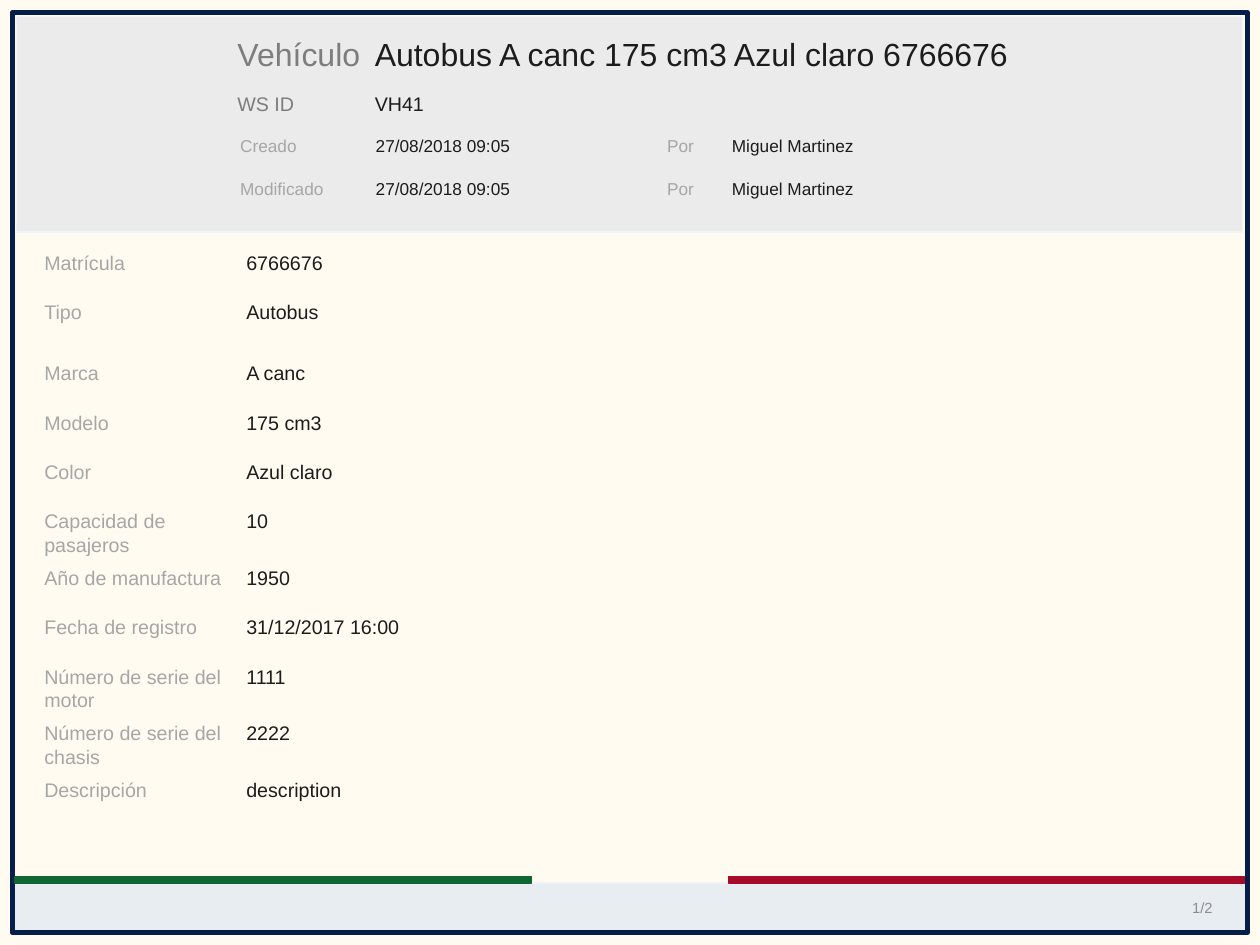
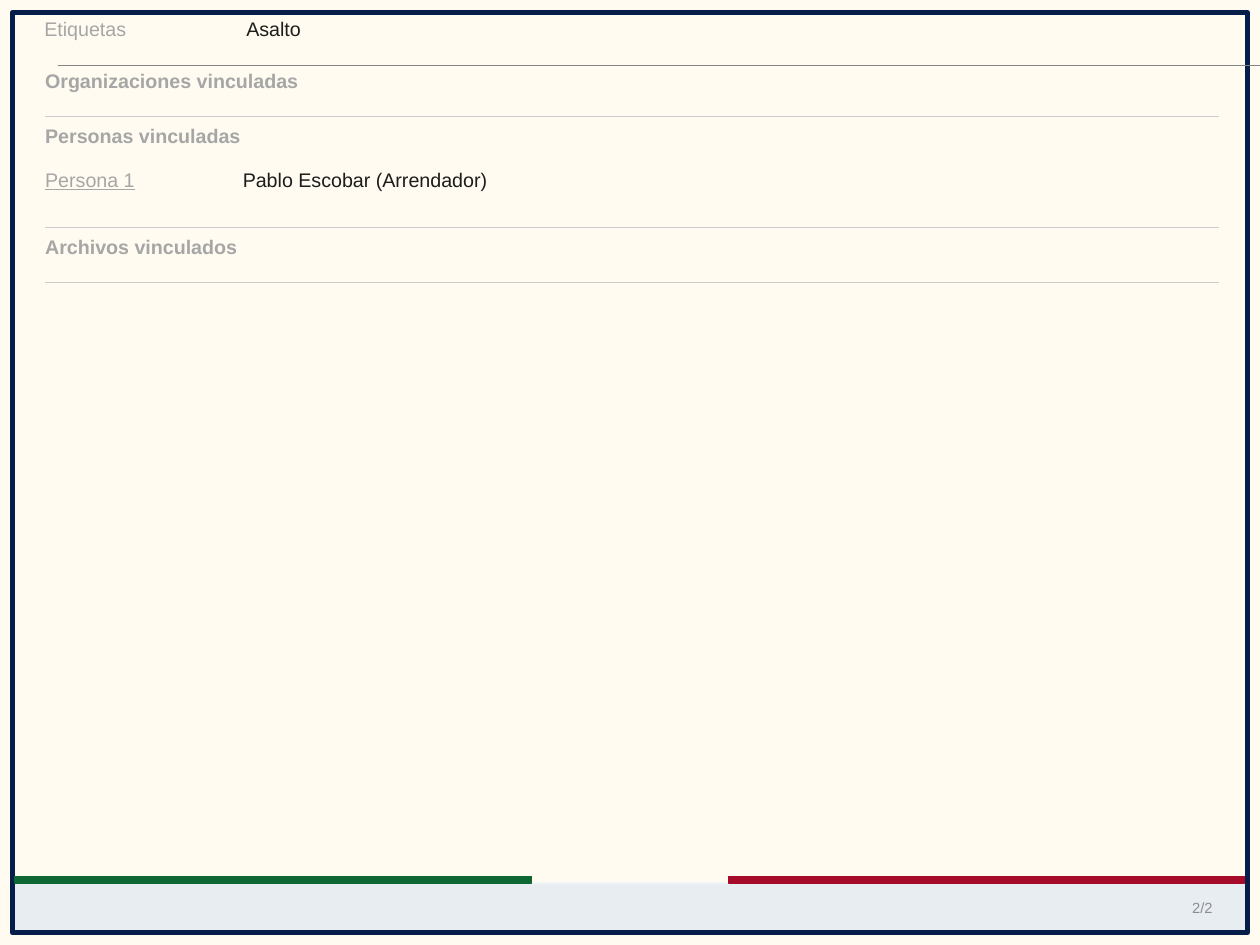
"""Builds a two-slide vehicle record with linked people, organisations and files."""
from lxml.etree import SubElement
from pptx import Presentation
from pptx.dml.color import RGBColor
from pptx.enum.shapes import MSO_CONNECTOR as Connector, MSO_SHAPE as Shape
from pptx.enum.text import MSO_ANCHOR as Anchor, PP_ALIGN as Align
from pptx.oxml.ns import qn
from pptx.util import Inches, Pt

WIDTH, HEIGHT = 14.22, 10.67
COLORS = {
    "background": "FFFBF0", "frame": "051D49", "footer": "E8EDF2", "edge": "F1F4F7",
    "header": "EBEBEB", "green": "0E6732", "red": "A60B2A", "value": "1C1C1C",
    "label": "A6A6A6", "title": "7D7D7D", "number": "8D8D8D", "rule": "D1CBCB",
    "divider": "848484",
}
TITLES = [
    ("Vehículo", "Autobus A canc 175 cm3 Azul claro 6766676", 0.39, 0.65, 26),
    ("WS ID", "VH41", 1.04, 0.42, 16),
]
HISTORY = [
    ("Creado", "27/08/2018 09:05", "Por", "Miguel Martinez"),
    ("Modificado", "27/08/2018 09:05", "Por", "Miguel Martinez"),
]
HISTORY_COLUMNS = [(2.71, 1.53), (4.24, 2.78), (7.53, 0.74), (8.26, 6.81)]
HISTORY_TOP, HISTORY_STEP = 1.53, 0.48
FIELD_GROUPS = [
    [("Matrícula", "6766676"), ("Tipo", "Autobus")],
    [
        ("Marca", "A canc"),
        ("Modelo", "175 cm3"),
        ("Color", "Azul claro"),
        ("Capacidad de pasajeros", "10"),
        ("Año de manufactura", "1950"),
        ("Fecha de registro", "31/12/2017 16:00"),
        ("Número de serie del motor", "1111"),
        ("Número de serie del chasis", "2222"),
        ("Descripción", "description"),
    ],
]
TAGS = ("Etiquetas", "Asalto")
SECTIONS = [
    ("Organizaciones vinculadas", []),
    ("Personas vinculadas", [("Persona 1", "Pablo Escobar (Arrendador)")]),
    ("Archivos vinculados", []),
]
LABEL_LEFT, VALUE_LEFT, VALUE_WIDTH = 0.5, 2.72, 10.81
LABEL_WIDTH = VALUE_LEFT - LABEL_LEFT
ROW, TALL_ROW, LONG_LABEL = 0.42, 0.5, 20
FIELDS_TOP, LAST_FIELD_TOP, GROUP_GAP = 2.83, 8.78, 0.13
SECTION_LEFT, SECTION_RIGHT, SECTION_TOP = 0.51, 13.76, 0.78
RULE_DROP, RULE_GAP, ENTRY_DROP, ENTRY_STEP = 0.54, 0.08, 0.49, 0.63


def color(name):
    return RGBColor.from_string(COLORS[name])


def add_text(slide, box, text, color_name, size=16, inset=0, align=Align.LEFT,
             anchor=Anchor.TOP, **style):
    frame = slide.shapes.add_textbox(*map(Inches, box)).text_frame
    layout = {"word_wrap": True, "vertical_anchor": anchor, "margin_left": Inches(inset),
              "margin_top": 0, "margin_right": 0, "margin_bottom": 0}
    for name, value in layout.items():
        setattr(frame, name, value)
    paragraph = frame.paragraphs[0]
    paragraph.alignment = align
    run = paragraph.add_run()
    run.text = text
    for name, value in {"name": "Arial", "size": Pt(size), **style}.items():
        setattr(run.font, name, value)
    run.font.color.rgb = color(color_name)


def add_box(slide, box, fill, line, weight=1):
    shape = slide.shapes.add_shape(Shape.RECTANGLE, *map(Inches, box))
    shape.shadow.inherit = False
    if fill:
        shape.fill.solid()
        shape.fill.fore_color.rgb = color(fill)
    else:
        shape.fill.background()
    shape.line.color.rgb = color(line)
    shape.line.width = Pt(weight)


def add_rule(slide, left, right, top, line):
    ends = map(Inches, (left, top, right, top))
    connector = slide.shapes.add_connector(Connector.STRAIGHT, *ends)
    connector.line.color.rgb = color(line)
    connector.line.width = Pt(1)
    SubElement(connector._element.spPr, qn("a:effectLst"))


def add_field(slide, top, field, height=ROW):
    label, value = field
    add_text(slide, (VALUE_LEFT, top, VALUE_WIDTH, height), value, "value", inset=0.06)
    add_text(slide, (LABEL_LEFT, top, LABEL_WIDTH, height), label, "label")


def add_base(presentation, number, total):
    slide = presentation.slides.add_slide(presentation.slide_layouts[6])
    slide.background.fill.solid()
    slide.background.fill.fore_color.rgb = color("background")
    add_box(slide, (0.14, 9.97, 13.92, 0.56), "footer", "edge")
    add_box(slide, (0.14, 0.14, 13.94, 10.39), None, "frame", 4)
    add_text(slide, (13.25, 10.03, 0.64, 0.44), f"{number}/{total}", "number", 12,
             align=Align.CENTER, anchor=Anchor.MIDDLE)
    for left, name in ((8.22, "red"), (0.17, "green")):
        add_box(slide, (left, 9.9, 5.83, 0.07), name, name)
    return slide


def add_header(slide):
    add_box(slide, (0.19, 0.19, 13.83, 2.43), "header", "edge")
    for label, value, top, height, size in TITLES:
        add_text(slide, (4.17, top, 9.43, height), value, "value", size, 0.06)
        add_text(slide, (2.62, top, 1.54, height), label, "title", size, 0.06)
    for row, texts in enumerate(HISTORY):
        top = HISTORY_TOP + row * HISTORY_STEP
        for column, (text, (left, width)) in enumerate(zip(texts, HISTORY_COLUMNS)):
            name = "value" if column % 2 else "label"
            add_text(slide, (left, top, width, ROW), text, name, 14)


def add_fields(slide):
    groups = [[(field, TALL_ROW if len(field[0]) > LONG_LABEL else ROW) for field in group]
              for group in FIELD_GROUPS]
    heights = [height for group in groups for _, height in group][:-1]
    free = LAST_FIELD_TOP - FIELDS_TOP - sum(heights) - GROUP_GAP * (len(groups) - 1)
    gap = free / len(heights)
    top = FIELDS_TOP
    for group in groups:
        for field, height in group:
            add_field(slide, top, field, height)
            top += height + gap
        top += GROUP_GAP


def add_sections(slide):
    top = SECTION_TOP
    for heading, entries in SECTIONS:
        add_text(slide, (SECTION_LEFT, top, 8.36, ROW), heading, "label", bold=True)
        for index, (label, value) in enumerate(entries):
            entry_top = top + ENTRY_DROP + index * ENTRY_STEP
            add_text(slide, (2.74, entry_top, 8.33, ROW), value, "value")
            add_text(slide, (SECTION_LEFT, entry_top, LABEL_WIDTH, ROW), label, "label",
                     underline=True)
        top += RULE_DROP + len(entries) * ENTRY_STEP
        add_rule(slide, SECTION_LEFT, SECTION_RIGHT, top, "rule")
        top += RULE_GAP


def main():
    presentation = Presentation()
    presentation.slide_width, presentation.slide_height = Inches(WIDTH), Inches(HEIGHT)
    vehicle, links = (add_base(presentation, number, 2) for number in (1, 2))
    add_fields(vehicle)
    add_header(vehicle)
    add_field(links, 0.19, TAGS)
    add_sections(links)
    add_rule(links, 0.65, 14.32, 0.74, "divider")
    presentation.save("out.pptx")


if __name__ == "__main__":
    main()
